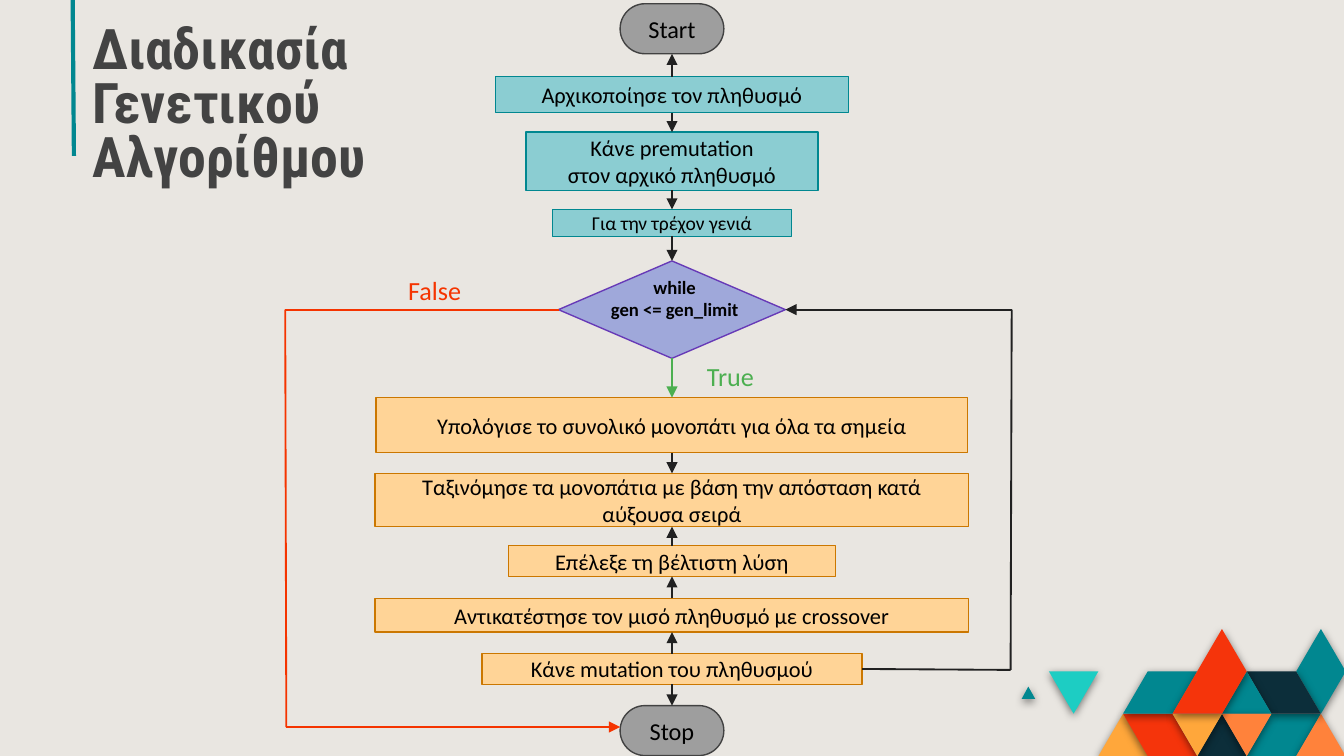
from typing import NamedTuple, Optional, Union

from lxml.etree import SubElement
from pptx import Presentation
from pptx.dml.color import RGBColor
from pptx.enum.shapes import MSO_CONNECTOR as Conn, MSO_SHAPE as Shape
from pptx.enum.text import MSO_ANCHOR as Anchor, PP_ALIGN as Align
from pptx.oxml.ns import qn
from pptx.util import Pt

COLORS = {
    "back": "E9E6E1", "teal": "018790", "title": "434343", "black": "000000",
    "setup": "8BCDD2", "loop": "FFD497", "loop_edge": "CB7700",
    "test": "9FA8DA", "test_edge": "673AB7", "end": "9E9E9E", "end_edge": "424242",
    "arrow": "212121", "true": "4CAF50", "false": "F53400",
    "red": "F5340B", "amber": "FFA73B", "orange": "FF823B",
    "navy": "0C2E3A", "aqua": "1DCDC3",
}
CENTER = 360
TOP, LEFT, BOTTOM, RIGHT = range(4)


class Step(NamedTuple):
    name: str
    top: float
    width: float
    height: float
    fill: str
    edge: str
    text: str = ""
    size: float = 12
    kind: Shape = Shape.RECTANGLE


class Label(NamedTuple):
    left: float
    top: float
    width: float
    height: float
    text: str
    size: float
    color: str
    font: str = "Calibri"
    bold: bool = False
    align: Align = Align.CENTER


class Point(NamedTuple):
    x: float
    y: float


class Site(NamedTuple):
    step: str
    side: int


class Link(NamedTuple):
    start: Union[Point, Site]
    end: Union[Point, Site]
    color: str = "arrow"
    width: float = 1.5
    head: bool = True


class Tile(NamedTuple):
    color: str
    corners: list


STEPS = [
    Step("init", 41, 189, 19.5, "setup", "teal", "Αρχικοποίησε τον πληθυσμό"),
    Step("permute", 70.8, 156.5, 31.2, "setup", "teal",
         "Κάνε premutation\nστον αρχικό πληθυσμό"),
    Step("current", 112.2, 128, 14.5, "setup", "teal", "Για την τρέχον γενιά", 10.5),
    Step("best", 292.4, 175, 16.4, "loop", "loop_edge", "Επέλεξε τη βέλτιστη λύση"),
    Step("sort", 253.6, 318, 28.6, "loop", "loop_edge",
         "Ταξινόμησε τα μονοπάτια με βάση την απόσταση κατά αύξουσα σειρά"),
    Step("total", 213, 317, 29.6, "loop", "loop_edge",
         "Υπολόγισε το συνολικό μονοπάτι για όλα τα σημεία"),
    Step("test", 139.8, 121.6, 52.2, "test", "test_edge", kind=Shape.DIAMOND),
    Step("cross", 320.6, 318, 18, "loop", "loop_edge",
         "Αντικατέστησε τον μισό πληθυσμό με crossover"),
    Step("mutate", 350.2, 203.6, 16.4, "loop", "loop_edge", "Κάνε mutation του πληθυσμού"),
    Step("stop", 378, 55.6, 26.8, "end", "end_edge", "Stop", 13, Shape.ROUNDED_RECTANGLE),
    Step("start", 2, 55.6, 26.8, "end", "end_edge", "Start", 13, Shape.ROUNDED_RECTANGLE),
]
LABELS = [
    Label(306.7, 144, 109.4, 35.3, "while\ngen <= gen_limit", 10, "black", bold=True),
    Label(211.5, 143.3, 54, 25.2, "False", 14, "false", align=Align.LEFT),
    Label(364.3, 189.4, 54, 25.2, "True", 14, "true"),
]
DOWN = [("init", "permute"), ("permute", "current"), ("current", "test"),
        ("total", "sort"), ("mutate", "stop")]
UP = [("init", "start"), ("best", "sort"), ("cross", "best"), ("mutate", "cross")]
EXIT_TOP, EXIT_BOTTOM = Point(152.8, 165.9), Point(153.4, 389.5)
BACK_TOP, BACK_BOTTOM = Point(542, 165.9), Point(541.4, 358.9)
LINKS = [
    Link(Site("test", BOTTOM), Site("total", TOP), "true"),
    *(Link(Site(a, BOTTOM), Site(b, TOP)) for a, b in DOWN),
    *(Link(Site(a, TOP), Site(b, BOTTOM)) for a, b in UP),
    Link(Site("test", LEFT), EXIT_TOP, "false", 1, False),
    Link(EXIT_BOTTOM, EXIT_TOP, "false", 1, False),
    Link(EXIT_BOTTOM, Point(332.2, 389.5), "false", 1),
    Link(BACK_TOP, Site("test", RIGHT), width=1),
    Link(BACK_TOP, BACK_BOTTOM, width=1, head=False),
    Link(Site("mutate", RIGHT), BACK_BOTTOM, width=1, head=False),
]
GRID_LEFT, GRID_TOP, GRID_DX, GRID_DY = 588.4, 337, 13.25, 22.7
TILES = [
    Tile("amber", [(0, 3), (1, 2), (2, 3)]),
    Tile("red", [(1, 2), (3, 2), (4, 3), (2, 3)]),
    Tile("teal", [(6, 3), (7, 2), (9, 2), (8, 3)]),
    Tile("orange", [(8, 3), (9, 2), (10, 3)]),
    Tile("navy", [(4, 3), (5, 2), (6, 3)]),
    Tile("teal", [(1, 2), (2, 1), (4, 1), (3, 2)]),
    Tile("teal", [(-3.1, 1.65), (-2.83, 1.36), (-2.55, 1.65)]),
    Tile("aqua", [(-2, 1), (0, 1), (-1, 2)]),
    Tile("teal", [(8, 1), (9, 0), (10, 1), (9, 2)]),
    Tile("navy", [(6, 1), (8, 1), (9, 2), (7, 2)]),
    Tile("teal", [(5, 2), (6, 1), (7, 2)]),
    Tile("orange", [(5, 2), (7, 2), (6, 3)]),
    Tile("amber", [(3, 2), (5, 2), (4, 3)]),
    Tile("red", [(3, 2), (5, 0), (6, 1), (5, 2)]),
]


def rgb(name: str) -> RGBColor:
    return RGBColor.from_string(COLORS[name])


def write(tf, text: str, size: float, color: str, font: str = "Calibri",
          bold: bool = False, align: Align = Align.CENTER) -> None:
    tf.word_wrap = True
    for i, line in enumerate(text.split("\n")):
        p = tf.paragraphs[0] if i == 0 else tf.add_paragraph()
        p.text, p.alignment = line, align
        p.font.size, p.font.name, p.font.bold = Pt(size), font, bold
        p.font.color.rgb = rgb(color)


def draw_tile(s, tile: Tile) -> None:
    points = [(Pt(GRID_LEFT + c * GRID_DX), Pt(GRID_TOP + r * GRID_DY))
              for c, r in tile.corners]
    builder = s.shapes.build_freeform(*points[0])
    builder.add_line_segments(points[1:], close=True)
    sp = builder.convert_to_shape()
    sp.fill.solid()
    sp.fill.fore_color.rgb = rgb(tile.color)
    sp.line.fill.background()
    sp.shadow.inherit = False
    effects = sp._element.spPr.find(qn("a:effectLst"))
    shadow = SubElement(effects, qn("a:outerShdw"), blurRad=str(Pt(4.5)),
                        dist=str(Pt(1.5)), dir="5400000", algn="t", rotWithShape="0")
    black = SubElement(shadow, qn("a:srgbClr"), val=COLORS["black"])
    SubElement(black, qn("a:alpha"), val="50000")


def draw_step(s, step: Step):
    sp = s.shapes.add_shape(step.kind, Pt(CENTER - step.width / 2), Pt(step.top),
                            Pt(step.width), Pt(step.height))
    if step.kind == Shape.ROUNDED_RECTANGLE:
        sp.adjustments[0] = 0.5
    sp.fill.solid()
    sp.fill.fore_color.rgb = rgb(step.fill)
    sp.line.color.rgb = rgb(step.edge)
    sp.line.width = Pt(0)
    sp.shadow.inherit = False
    if step.text:
        sp.text_frame.vertical_anchor = Anchor.MIDDLE
        write(sp.text_frame, step.text, step.size, "black")
    return sp


def draw_label(s, label: Label):
    sp = s.shapes.add_textbox(*map(Pt, label[:4]))
    write(sp.text_frame, *label[4:])
    return sp


def draw_link(s, link: Link, shapes: Optional[dict] = None) -> None:
    ends = [e if isinstance(e, Point) else Point(0, 0) for e in link[:2]]
    c = s.shapes.add_connector(Conn.STRAIGHT, *(Pt(v) for e in ends for v in e))
    for end, join in zip(link[:2], (c.begin_connect, c.end_connect)):
        if isinstance(end, Site):
            join(shapes[end.step], end.side)
    c.line.color.rgb = rgb(link.color)
    c.line.width = Pt(link.width)
    if link.head:
        SubElement(c.line._get_or_add_ln(), qn("a:tailEnd"), type="triangle")
    SubElement(c._element.spPr, qn("a:effectLst"))


def main() -> None:
    prs = Presentation()
    prs.slide_width, prs.slide_height = Pt(720), Pt(405)
    s = prs.slides.add_slide(prs.slide_layouts[6])
    s.background.fill.solid()
    s.background.fill.fore_color.rgb = rgb("back")
    draw_link(s, Link(Point(38.9, -5), Point(39.6, 83.5), "teal", 2.25, False))
    for tile in TILES:
        draw_tile(s, tile)
    title = draw_label(s, Label(42.5, 10, 191.5, 98, "Διαδικασία Γενετικού Αλγορίθμου",
                                30, "title", "Roboto Condensed", True, Align.LEFT))
    tf = title.text_frame
    tf.vertical_anchor = Anchor.BOTTOM
    tf.margin_top = tf.margin_bottom = Pt(7.2)
    tf.paragraphs[0].line_spacing = 0.8
    shapes = {step.name: draw_step(s, step) for step in STEPS}
    for label in LABELS:
        draw_label(s, label)
    for link in LINKS:
        draw_link(s, link, shapes)
    prs.save("out.pptx")


if __name__ == "__main__":
    main()
